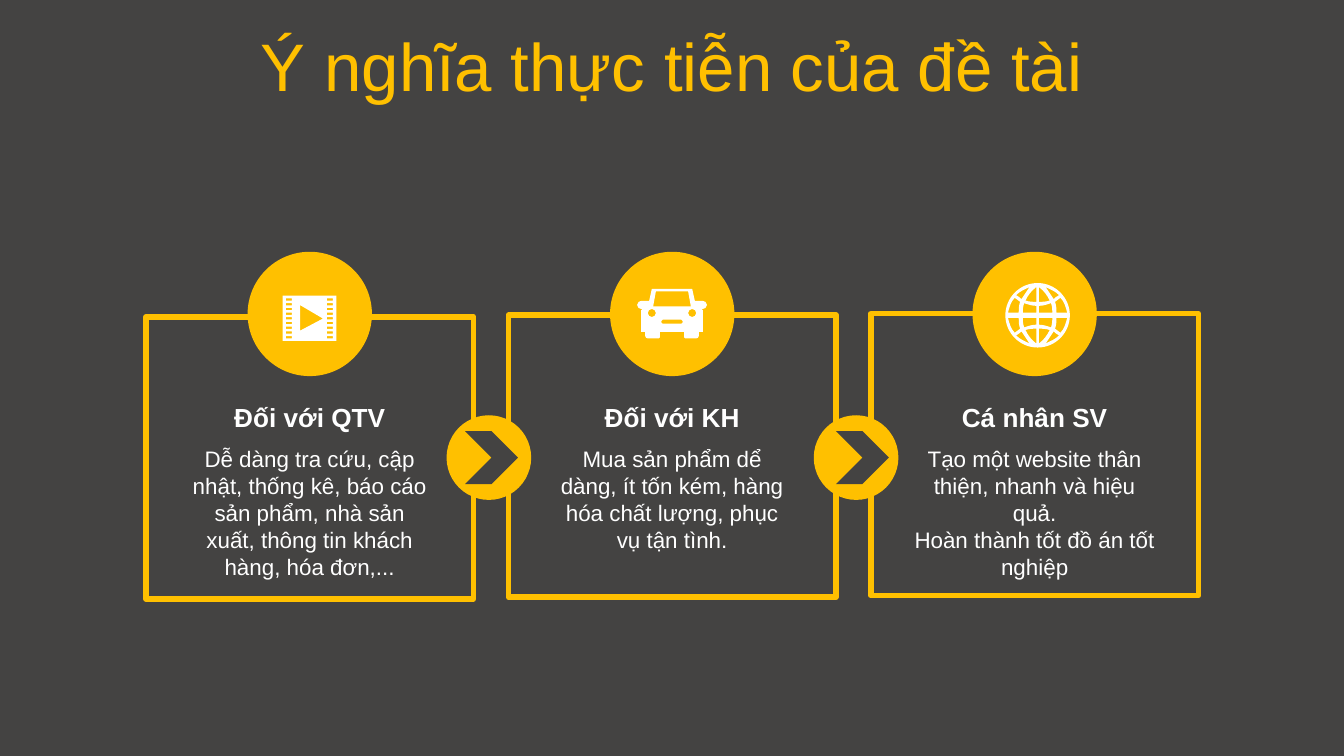
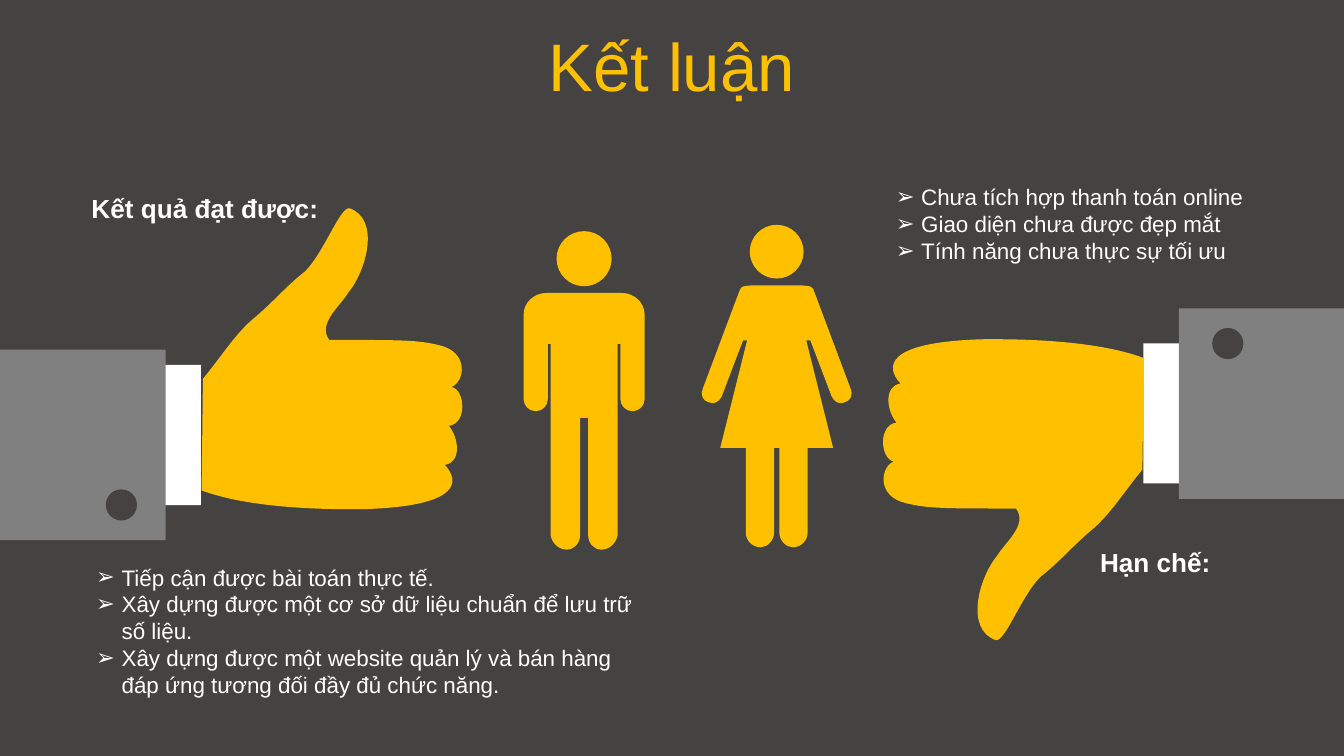
from lxml import etree
from pptx import Presentation
from pptx.dml.color import RGBColor
from pptx.enum.shapes import MSO_SHAPE
from pptx.enum.text import MSO_ANCHOR, MSO_AUTO_SIZE, PP_ALIGN
from pptx.oxml.ns import qn
from pptx.util import Cm, Pt

RECT, OVAL, CHEVRON = MSO_SHAPE.RECTANGLE, MSO_SHAPE.OVAL, MSO_SHAPE.CHEVRON
LEFT, CENTER = PP_ALIGN.LEFT, PP_ALIGN.CENTER
MIDDLE = MSO_ANCHOR.MIDDLE
GROW, FIXED = MSO_AUTO_SIZE.SHAPE_TO_FIT_TEXT, MSO_AUTO_SIZE.NONE

FONT = "Arial"
DARK, YELLOW, WHITE, GRAY = "444342", "FFC000", "FFFFFF", "808080"
UNIT = Cm(2.54) / 100

CARDS = [
    ("Đối với QTV",
     ["Dễ dàng tra cứu, cập nhật, thống kê, báo cáo sản phẩm, nhà sản xuất, "
      "thông tin khách hàng, hóa đơn,..."]),
    ("Đối với KH",
     ["Mua sản phẩm dể dàng, ít tốn kém, hàng hóa chất lượng, phục vụ tận tình."]),
    ("Cá nhân SV",
     ["Tạo một website thân thiện, nhanh và hiệu quả.",
      "Hoàn thành tốt đồ án tốt nghiệp"]),
]
RESULTS = [
    "Tiếp cận được bài toán thực tế.",
    "Xây dựng được một cơ sở dữ liệu chuẩn để lưu trữ số liệu.",
    "Xây dựng được một website quản lý và bán hàng đáp ứng tương đối đầy đủ chức năng.",
]
LIMITS = [
    "Chưa tích hợp thanh toán online",
    "Giao diện chưa được đẹp mắt",
    "Tính năng chưa thực sự tối ưu",
]

GLOBE_CELLS = [
    [(1, 10), (1, 21), (5, 18, 7, 15, 9, 11), (6, 10, 4, 10, 1, 10)],
    [(12, 12), (10, 15, 8, 18, 6, 21), (10, 19, 13, 18, 16, 15), (14, 14, 13, 13, 12, 12)],
    [(1, 2), (1, 7), (4, 7, 7, 8, 10, 9), (11, 6, 11, 4, 11, 2)],
    [(14, 2), (14, 5, 14, 7, 13, 10), (14, 11, 16, 12, 17, 13), (20, 10, 21, 6, 22, 2)],
]
CAR_BODY = [
    (15, 0), (17, 9), (18, 9, 19, 9, 19, 9), (23, 9), (24, 9, 26, 10, 26, 12),
    (26, 14, 24, 15, 23, 15), (22, 15), (23, 15, 23, 16, 23, 16), (23, 32), (20, 32),
    (20, 35), (20, 36, 19, 37, 18, 37), (10, 37), (9, 37, 9, 36, 9, 35), (9, 32),
]
CAR_WINDOW = [(12, 2), (14, 13)]
CAR_BUMPER = [(7, 23), (8, 23, 8, 24, 8, 24), (8, 25), (8, 26, 8, 26, 7, 26)]
MAN_BODY = [
    (28, 46), (37, 46, 45, 53, 45, 62), (45, 125), (45, 130, 41, 134, 36, 134),
    (31, 134, 27, 130, 27, 125), (27, 84), (25, 84), (25, 226),
    (24, 232, 19, 237, 13, 237), (7, 237, 3, 232, 3, 226), (3, 139),
]
WOMAN_BODY = [
    (18, 45), (26, 46, 26, 45, 28, 50), (55, 122), (57, 126, 55, 131, 51, 132),
    (47, 134, 43, 132, 41, 128), (25, 86), (22, 86), (42, 166), (23, 166), (23, 229),
    (23, 235, 18, 240, 12, 240), (7, 240, 2, 235, 2, 229), (2, 166),
]
THUMB = [
    (260, 155), (253, 154, 241, 188, 227, 202), (213, 213, 205, 223, 190, 236),
    (176, 247, 165, 265, 151, 282), (150, 365), (190, 380, 255, 379, 269, 379),
    (344, 377, 342, 358, 331, 346), (344, 344, 341, 325, 334, 317),
    (348, 315, 346, 290, 336, 288), (346, 284, 349, 262, 327, 257),
    (311, 253, 299, 253, 245, 253), (236, 241, 253, 228, 259, 218),
    (273, 201, 283, 163, 260, 155),
]


def rgb(color):
    """Turn a hex string into a colour."""
    return RGBColor.from_string(color)


def pairs(segment):
    """Split a line or curve segment into its points."""
    return list(zip(segment[::2], segment[1::2]))


def moved(contour, sx, sy, dx=0, dy=0):
    """Scale and shift every point of a contour."""
    return [sum(((sx * x + dx, sy * y + dy) for x, y in pairs(seg)), ()) for seg in contour]


def mirrored(half):
    """Complete a right half outline with its left half."""
    left = moved(half, -1, 1)
    contour = half + [left[-1][-2:]]
    for before, seg in zip(left[-2::-1], left[:0:-1]):
        contour.append(sum(reversed(pairs(seg)[:-1]), ()) + before[-2:])
    return contour


def circle(x, y, radius):
    """Return a circle made of four curves."""
    k = 0.55
    unit = [(0, -1), (k, -1, 1, -k, 1, 0), (1, k, k, 1, 0, 1),
            (-k, 1, -1, k, -1, 0), (-1, -k, -k, -1, 0, -1)]
    return moved(unit, radius, radius, x, y)


def box(x, y, w, h):
    """Return the corners of a rectangle."""
    return [(x, y), (x + w, y), (x + w, y + h), (x, y + h)]


def paint(shape, fill=None, line=None):
    """Set fill and outline and drop the shadow."""
    shape.shadow.inherit = False
    if fill:
        shape.fill.solid()
        shape.fill.fore_color.rgb = rgb(fill)
    else:
        shape.fill.background()
    if line:
        shape.line.color.rgb = rgb(line)
        shape.line.width = Pt(3)
    else:
        shape.line.fill.background()


def add_shape(s, kind, x, y, w, h, fill=None, line=None):
    """Add a preset shape."""
    paint(s.shapes.add_shape(kind, Cm(x), Cm(y), Cm(w), Cm(h)), fill, line)


def bend(shape, contours):
    """Join the lines that stand for curve handles into curves."""
    outline = shape._element.find(".//" + qn("a:path"))
    lines = iter(outline.findall(qn("a:lnTo")))
    for seg in (seg for contour in contours for seg in contour[1:]):
        first = next(lines)
        if len(seg) == 6:
            first.tag = qn("a:cubicBezTo")
            for other in (next(lines), next(lines)):
                first.append(other[0])
                outline.remove(other)


def add_outline(s, x, y, contours, fill):
    """Add a freeform whose contours are relative to a point."""
    fb = None
    for contour in contours:
        pts = [(round(Cm(x) + UNIT * px), round(Cm(y) + UNIT * py))
               for seg in contour for px, py in pairs(seg)]
        if fb:
            fb.move_to(*pts[0])
        else:
            fb = s.shapes.build_freeform(*pts[0])
        fb.add_line_segments(pts[1:], close=True)
    shape = fb.convert_to_shape()
    bend(shape, contours)
    paint(shape, fill)


def add_bullet(p):
    """Give a paragraph a hanging arrow bullet."""
    pPr = p._p.get_or_add_pPr()
    pPr.set("marL", str(Cm(0.48)))
    pPr.set("indent", str(-Cm(0.48)))
    etree.SubElement(pPr, qn("a:buFont")).set("typeface", FONT)
    etree.SubElement(pPr, qn("a:buChar")).set("char", "➢")


def add_text(s, x, y, w, h, lines, size=12, color=WHITE, bold=False,
             align=LEFT, wrap=True, bullets=False):
    """Add a text box with one paragraph per line."""
    tf = s.shapes.add_textbox(Cm(x), Cm(y), Cm(w), Cm(h)).text_frame
    tf.word_wrap = wrap
    tf.auto_size = GROW
    tf.text = "\n".join(lines)
    for p in tf.paragraphs:
        p.alignment = align
        if bullets:
            add_bullet(p)
        for r in p.runs:
            r.font.name = FONT
            r.font.size = Pt(size)
            r.font.bold = bold
            r.font.color.rgb = rgb(color)
    return tf


def add_slide(prs, title):
    """Add a dark slide with a centred title."""
    s = prs.slides.add_slide(prs.slide_layouts[6])
    s.background.fill.solid()
    s.background.fill.fore_color.rgb = rgb(DARK)
    tf = add_text(s, 0, 0.43, 25.4, 1.6, [title], 36, YELLOW, align=CENTER)
    tf.auto_size = FIXED
    tf.vertical_anchor = MIDDLE
    tf.paragraphs[0].space_before = Pt(7)
    return s


def add_card(s, x, y, heading, lines):
    """Add a framed card with a disc on its top edge."""
    add_shape(s, RECT, x, y, 6.19, 5.33, line=YELLOW)
    add_shape(s, OVAL, x + 1.92, 4.76, 2.35, 2.35, YELLOW)
    add_text(s, x + 0.57, 8.29, 5.05, 2.82, lines, align=CENTER)
    add_text(s, x + 0.57, 7.47, 5.05, 0.86, [heading], 14, bold=True, align=CENTER)


def add_step(s, x, chevron_x):
    """Add a disc with a chevron between two cards."""
    add_shape(s, OVAL, x, 7.85, 1.6, 1.6, YELLOW)
    add_shape(s, CHEVRON, chevron_x, 8.15, 1, 1, DARK)


def add_film(s, x, y):
    """Add the film icon."""
    holes = [box(side, 2 + 3.5 * i, 4.5, 1.7) for i in range(9) for side in (-17.5, 13)]
    play = [(-7, 7), (-7, 26), (10, 17)]
    add_outline(s, x, y, [box(-20, 0, 40, 33.5), play] + holes, WHITE)


def add_car(s, x, y):
    """Add the car icon."""
    parts = [mirrored(part) for part in (CAR_BODY, CAR_WINDOW, CAR_BUMPER)]
    lights = [circle(side * 15, 18, 3) for side in (-1, 1)]
    add_outline(s, x, y, parts + lights, WHITE)


def add_globe(s, x, y):
    """Add the globe icon from one quadrant of cells."""
    cells = [moved(cell, sx, sy) for cell in GLOBE_CELLS for sx in (-1, 1) for sy in (-1, 1)]
    add_outline(s, x, y, [circle(0, 0, 24)] + cells, WHITE)


def add_person(s, x, y, body, head):
    """Add a standing figure with a round head."""
    add_outline(s, x, y, [mirrored(body), circle(0, head, head)], YELLOW)


def add_hand(s, button_x, turned=False):
    """Add a sleeved hand, thumb up or turned half round."""
    def place(x, y, w, h):
        return (25.41 - x - w, 16.04 - y - h, w, h) if turned else (x, y, w, h)

    thumb = moved(THUMB, -1, -1, 1001, 631.5) if turned else THUMB
    add_shape(s, RECT, *place(2.8, 6.9, 1, 2.65), WHITE)
    add_shape(s, RECT, *place(0, 6.61, 3.13, 3.6), GRAY)
    add_outline(s, 0, 0, [thumb], YELLOW)
    add_shape(s, OVAL, button_x, place(0, 9.25, 0.59, 0.59)[1], 0.59, 0.59, DARK)


def build_meaning(prs):
    """Build the slide on practical meaning."""
    s = add_slide(prs, "Ý nghĩa thực tiễn của đề tài")
    for i, (heading, lines) in enumerate(CARDS):
        add_card(s, 2.76 + 6.85 * i, 5.99 - 0.03 * i, heading, lines)
    add_globe(s, 19.61, 5.96)
    add_film(s, 5.85, 5.59)
    add_car(s, 12.7, 5.46)
    add_step(s, 8.44, 8.79)
    add_step(s, 15.38, 15.8)


def build_conclusion(prs):
    """Build the slide with results and limits."""
    s = add_slide(prs, "Kết luận")
    add_person(s, 11.04, 4.37, MAN_BODY, 20.5)
    add_person(s, 14.68, 4.25, WOMAN_BODY, 20)
    add_hand(s, 2)
    add_hand(s, 22.91, turned=True)
    add_text(s, 1.48, 3.51, 4.83, 0.86, ["Kết quả đạt được:"], 14, bold=True, wrap=False)
    add_text(s, 20.54, 10.21, 2.62, 0.86, ["Hạn chế:"], 14, bold=True, wrap=False)
    add_text(s, 16.68, 3.34, 7.44, 2.31, LIMITS, bullets=True)
    add_text(s, 1.57, 10.53, 10.95, 3.33, RESULTS, bullets=True)


def main():
    """Build and save the presentation."""
    prs = Presentation()
    prs.slide_width, prs.slide_height = Cm(25.4), Cm(14.29)
    build_meaning(prs)
    build_conclusion(prs)
    prs.save("out.pptx")


if __name__ == "__main__":
    main()
